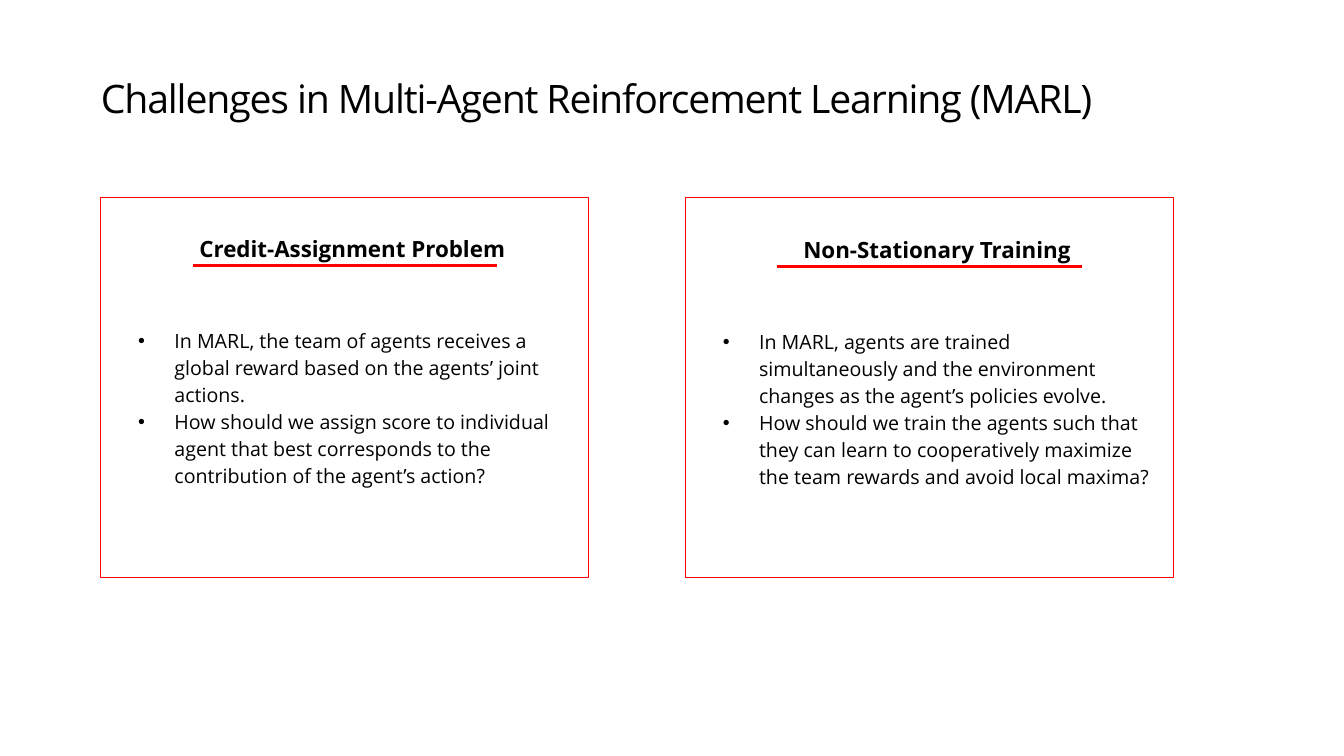
from dataclasses import dataclass

from lxml import etree
from pptx import Presentation
from pptx.dml.color import RGBColor
from pptx.enum.shapes import MSO_CONNECTOR, MSO_SHAPE
from pptx.enum.text import MSO_ANCHOR, MSO_AUTO_SIZE, PP_ALIGN
from pptx.oxml.ns import qn
from pptx.util import Inches, Pt

RECT, STRAIGHT = MSO_SHAPE.RECTANGLE, MSO_CONNECTOR.STRAIGHT
LEFT, CENTER = PP_ALIGN.LEFT, PP_ALIGN.CENTER
MIDDLE, BOTTOM = MSO_ANCHOR.MIDDLE, MSO_ANCHOR.BOTTOM
FIT_NONE, FIT_SHAPE = MSO_AUTO_SIZE.NONE, MSO_AUTO_SIZE.SHAPE_TO_FIT_TEXT
COLS, ROWS = 80, 45
COMPARISON = 4

TITLE = "Challenges in Multi-Agent Reinforcement Learning (MARL)"
CHALLENGES = [
    ("Credit-Assignment Problem", [
        "In MARL, the team of agents receives a global reward based on the agents’ joint actions.",
        "How should we assign score to individual agent that best corresponds to the "
        "contribution of the agent’s action?",
    ]),
    ("Non-Stationary Training", [
        "In MARL, agents are trained simultaneously and the environment changes as the "
        "agent’s policies evolve.",
        "How should we train the agents such that they can learn to cooperatively maximize "
        "the team rewards and avoid local maxima?",
    ]),
]


@dataclass(frozen=True)
class Theme:
    font: str = "Open Sans"
    ink: RGBColor = RGBColor(0, 0, 0)
    accent: RGBColor = RGBColor(255, 0, 0)
    title: float = 28
    heading: float = 16
    body: float = 14
    frame: float = 1
    rule: float = 2.25


def write(p, text, theme, size, bold=False, align=LEFT, spacing=1.15,
          indent=(0, 0), tracking=None, bullet=None):
    p.alignment, p.line_spacing = align, spacing
    p.space_before = p.space_after = Pt(0)
    pPr = p._p.get_or_add_pPr()
    pPr.set("marL", str(Inches(indent[0])))
    pPr.set("indent", str(Inches(indent[1])))
    if bullet:
        color = etree.SubElement(pPr, qn("a:buClr"))
        etree.SubElement(color, qn("a:srgbClr"), val=str(theme.ink))
        etree.SubElement(pPr, qn("a:buFont"), typeface="Arial")
        etree.SubElement(pPr, qn("a:buChar"), char=bullet)
    else:
        etree.SubElement(pPr, qn("a:buNone"))
    r = p.add_run()
    r.text = text
    r.font.name, r.font.size, r.font.bold = theme.font, Pt(size), bold
    r.font.color.rgb = theme.ink
    if tracking:
        r._r.get_or_add_rPr().set("spc", str(round(tracking * 100)))


class Deck:
    """Draw slide elements on a grid in one theme."""

    def __init__(self, theme):
        self.theme, self.prs = theme, Presentation()
        self.prs.slide_width, self.prs.slide_height = Inches(13.33), Inches(7.5)
        self.s = self.prs.slides.add_slide(self.prs.slide_layouts[COMPARISON])

    def x(self, cols):
        return round(self.prs.slide_width * cols / COLS)

    def y(self, rows):
        return round(self.prs.slide_height * rows / ROWS)

    def fill(self, idx, box, texts, anchor=MIDDLE, fit=FIT_SHAPE, insets=(0.04,) * 4, **style):
        left, top, width, height = box
        sp = self.s.placeholders[idx]
        sp.left, sp.top = self.x(left), self.y(top)
        sp.width, sp.height = self.x(width), self.y(height)
        tf = sp.text_frame
        tf.word_wrap, tf.auto_size, tf.vertical_anchor = True, fit, anchor
        tf.margin_left, tf.margin_top, tf.margin_right, tf.margin_bottom = map(Inches, insets)
        for i, text in enumerate(texts):
            p = tf.add_paragraph() if i else tf.paragraphs[0]
            write(p, text, self.theme, **style)

    def title(self, text, box):
        self.fill(0, box, [text], BOTTOM, FIT_NONE, (0, 0.05, 0, 0),
                  size=self.theme.title, spacing=0.9, tracking=-0.8)

    def heading(self, idx, text, box):
        self.fill(idx, box, [text], size=self.theme.heading, bold=True,
                  align=CENTER, indent=(0.14, 0))

    def bullets(self, idx, texts, box):
        self.fill(idx, box, texts, size=self.theme.body, indent=(0.5, -0.36), bullet="•")

    def frame(self, left, top, width, height):
        sp = self.s.shapes.add_shape(RECT, self.x(left), self.y(top), self.x(width), self.y(height))
        sp.shadow.inherit = False
        sp.fill.background()
        sp.line.color.rgb, sp.line.width = self.theme.accent, Pt(self.theme.frame)

    def rule(self, left, top, width):
        line = self.s.shapes.add_connector(
            STRAIGHT, self.x(left), self.y(top), self.x(left + width), self.y(top))
        line.line.color.rgb, line.line.width = self.theme.accent, Pt(self.theme.rule)
        etree.SubElement(line._element.spPr, qn("a:effectLst"))


def main():
    deck = Deck(Theme())
    deck.title(TITLE, (6, 3.36, 68, 3.9))
    for i, (heading, points) in enumerate(CHALLENGES):
        left, drop = 6 + 34.8 * i, 0.06 * i
        deck.heading(1 + 2 * i, heading, (left + 3.48, 13.56 + drop, 22.14, 2.22))
        deck.frame(left, 11.76, 29.04, 22.62)
        deck.bullets(2 + 2 * i, points, (left + 1.14, 19.14 + drop, 26.82, 10.14))
        deck.rule(left + 5.46, 15.78 + drop, 18.15)
    deck.prs.save("out.pptx")


if __name__ == "__main__":
    main()
